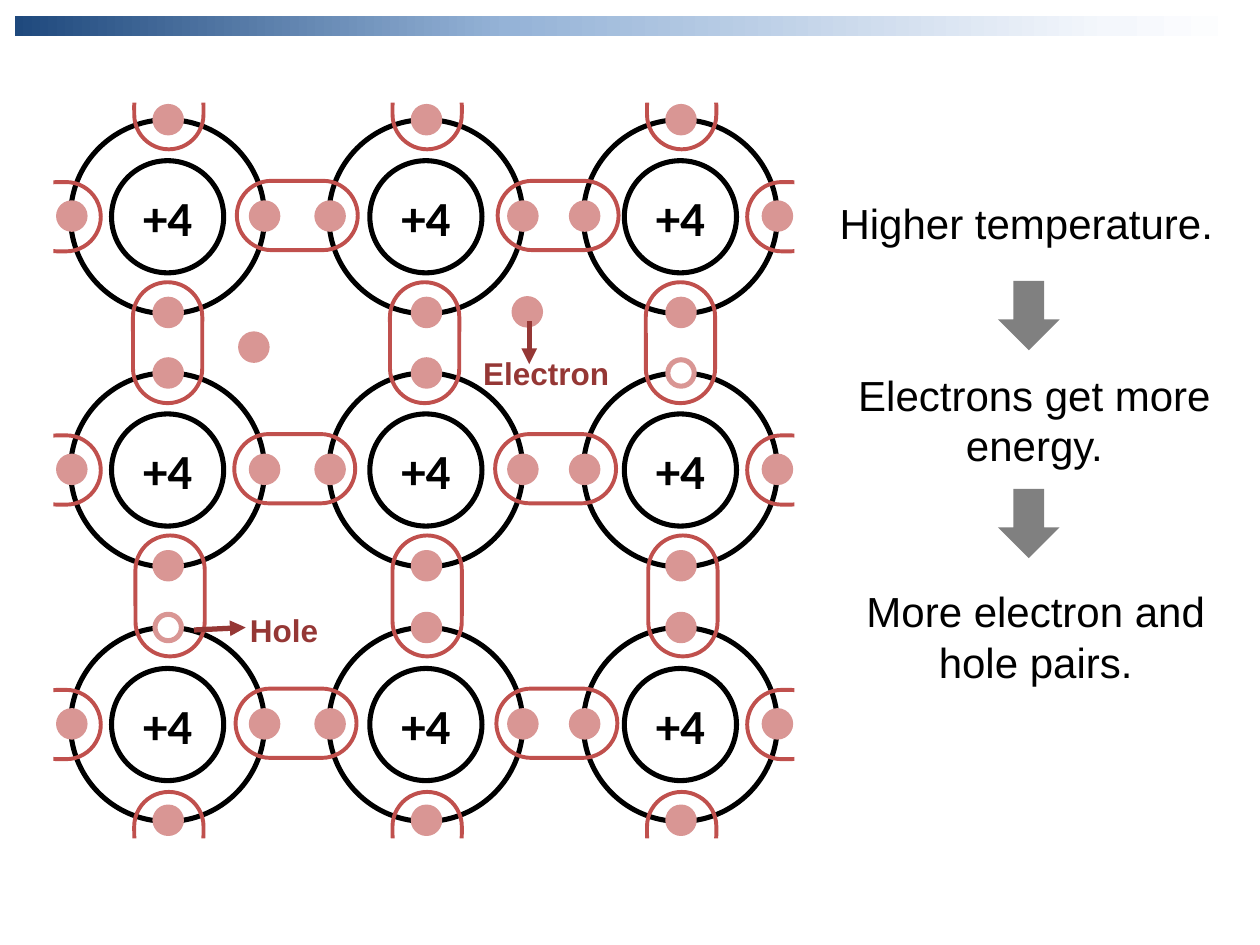
from itertools import product
from lxml.etree import SubElement
from pptx import Presentation
from pptx.dml.color import RGBColor
from pptx.enum.dml import MSO_LINE
from pptx.enum.shapes import MSO_CONNECTOR, MSO_SHAPE
from pptx.enum.text import MSO_ANCHOR, MSO_AUTO_SIZE, PP_ALIGN
from pptx.oxml.ns import qn
from pptx.util import Inches, Pt

BLACK, WHITE, GREY = "000000", "FFFFFF", "808080"
PINK, RED, MAROON = "D99694", "C0504D", "953735"


def rgb(color):
    return RGBColor.from_string(color)


def grid(n):
    """Length of n cells on a grid of 100 columns by 75 rows."""
    return Inches(n / 10)


class Diagram:
    font = "Arial"
    ring_width = 2.88
    link_width = 2.25
    link_height = 5.5

    def __init__(self, s):
        self.s = s

    def shape(self, kind, x, y, w, h, fill=None, line=None, width=0, turn=0):
        """Add a preset shape centred on (x, y)."""
        sp = self.s.shapes.add_shape(
            kind, grid(x - w / 2), grid(y - h / 2), grid(w), grid(h))
        sp.shadow.inherit = False
        sp.rotation = turn
        if fill:
            sp.fill.solid()
            sp.fill.fore_color.rgb = rgb(fill)
        else:
            sp.fill.background()
        if line:
            sp.line.color.rgb = rgb(line)
            sp.line.width = Pt(width)
        else:
            sp.line.fill.background()
        return sp

    def circle(self, x, y, size, fill=None, line=BLACK):
        return self.shape(MSO_SHAPE.OVAL, x, y, size, size, fill, line, self.ring_width)

    def electron(self, x, y):
        self.circle(x, y, 2.1, PINK, PINK)

    def hole(self, x, y):
        self.circle(x, y, 2.1, WHITE, PINK)

    def run(self, tf, text, size, color, bold=False, font=None):
        p = tf.paragraphs[0]
        p.alignment = PP_ALIGN.CENTER
        r = p.add_run()
        r.text = text
        r.font.name = font or self.font
        r.font.size = Pt(size)
        r.font.bold = bold
        r.font.color.rgb = rgb(color)

    def atom(self, x, y):
        self.circle(x, y, 15.4)
        tf = self.circle(x, y, 8.9).text_frame
        tf.word_wrap = False
        tf.vertical_anchor = MSO_ANCHOR.MIDDLE
        self.run(tf, "+4", 28, BLACK, True, "Calibri")

    def link(self, x, y, length=9.6, turn=0):
        """Add the capsule around a pair of shared electrons."""
        sp = self.shape(MSO_SHAPE.ROUNDED_RECTANGLE, x, y, length, self.link_height,
                        line=RED, width=self.link_width, turn=turn)
        sp.adjustments[0] = 0.5

    def open_link(self, x, y, dx, dy):
        """Add a link cut off at the lattice edge, facing (dx, dy) from an atom."""
        turn = 90 if dy else 0
        self.link(x + 8.4 * dx, y + 8.45 * dy, 6.2, turn)
        self.shape(MSO_SHAPE.RECTANGLE, x + 11.05 * dx, y + 11.05 * dy, 4, 6.4,
                   WHITE, turn=turn)

    def gradient_bar(self, x, y, w, h, stops):
        sp = self.shape(MSO_SHAPE.RECTANGLE, x, y, w, h)
        sp.fill.gradient()
        sp.fill.gradient_angle = 0
        stop_list = sp.fill._fill._gradFill.find(qn("a:gsLst"))
        for old in list(stop_list):
            stop_list.remove(old)
        for share, color in stops:
            stop = SubElement(stop_list, qn("a:gs"), pos=str(share * 1000))
            SubElement(stop, qn("a:srgbClr"), val=color)

    def text(self, x, y, w, h, text, size, color=BLACK, bold=False):
        tb = self.s.shapes.add_textbox(grid(x), grid(y), grid(w), grid(h))
        tf = tb.text_frame
        tf.word_wrap = True
        tf.auto_size = MSO_AUTO_SIZE.SHAPE_TO_FIT_TEXT
        self.run(tf, text, size, color, bold)

    def arrow(self, x1, y1, x2, y2):
        cx = self.s.shapes.add_connector(
            MSO_CONNECTOR.STRAIGHT, grid(x1), grid(y1), grid(x2), grid(y2))
        cx.line.color.rgb = rgb(MAROON)
        cx.line.width = Pt(3)
        cx.line.dash_style = MSO_LINE.SOLID
        SubElement(cx.line._get_or_add_ln(), qn("a:tailEnd"), type="triangle")
        SubElement(cx._element.spPr, qn("a:effectLst"))


def main():
    prs = Presentation()
    prs.slide_width, prs.slide_height = grid(100), grid(75)
    d = Diagram(prs.slides.add_slide(prs.slide_layouts[6]))

    columns, rows = (13.3, 33.8, 54), (17.2, 37.3, 57.5)
    sides = ((0, -1), (-1, 0), (0, 1), (1, 0))
    holes = {(2, 1), (0, 2)}  # atoms whose top electron has left

    for (j, y), (i, x) in product(enumerate(rows), enumerate(columns)):
        d.atom(x, y)
        for dx, dy in sides:
            lost = (i, j) in holes and dy == -1
            (d.hole if lost else d.electron)(x + 0.05 + 7.65 * dx, y - 0.05 + 7.65 * dy)

    for y, shift in zip(rows, (0, -0.2, -0.1)):
        for x in (23.6, 44.3):
            d.link(x + shift, y - 0.1)
    for y, shift in ((27.2, 0), (47.3, 0.2)):
        for x in (13.3, 33.7, 54):
            d.link(x + shift, y, turn=90)

    for y in rows:
        d.open_link(columns[0], y, -1, 0)
        d.open_link(columns[-1], y, 1, 0)
    for x in columns:
        d.open_link(x + 0.1, rows[0], 0, -1)
        d.open_link(x + 0.1, rows[-1], 0, 1)

    d.gradient_bar(50, 2.1, 97.6, 1.6,
                   ((0, "1F497D"), (40, "95B3D7"), (89, "F4F7FC"), (100, WHITE)))

    d.electron(41.85, 24.75)
    d.electron(20.15, 27.55)
    d.text(36.2, 27.6, 14.3, 4, "Electron", 18, MAROON, True)
    d.text(15.4, 48, 14.3, 4, "Hole", 18, MAROON, True)
    d.arrow(15.4, 50, 19.5, 49.8)
    d.arrow(42, 25.5, 42, 28.9)

    d.text(63.4, 15.2, 36.1, 5, "Higher temperature.", 24)
    d.text(64.4, 28.8, 35.4, 9.1, "Electrons get more energy.", 24)
    d.text(64.5, 46, 35.4, 9.1, "More electron and hole pairs.", 24)
    for y in (25.05, 41.55):
        d.shape(MSO_SHAPE.DOWN_ARROW, 81.65, y, 4.9, 5.5, GREY)

    prs.save("out.pptx")


if __name__ == "__main__":
    main()
